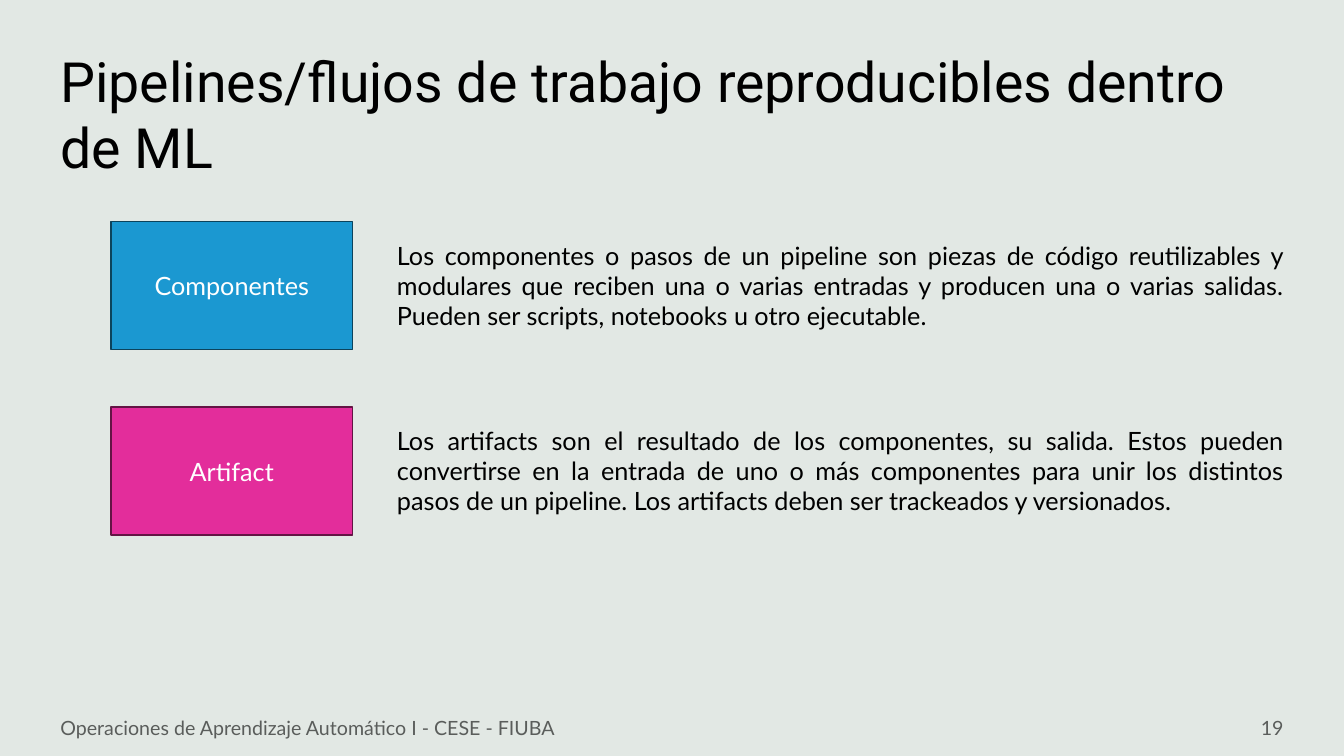
from pptx import Presentation
from pptx.dml.color import RGBColor
from pptx.enum.shapes import MSO_SHAPE
from pptx.enum.text import MSO_ANCHOR, PP_ALIGN
from pptx.util import Inches, Pt

BLACK, WHITE, GREY, BACKGROUND = "000000", "FFFFFF", "5A5D5B", "E2E8E4"
MARGIN = 3.75
FOOTER_TOP, FOOTER_HEIGHT = 93.6, 5.33
FIRST_ROW, ROW_STEP = 29.33, 24.53
CONCEPTS = [
    ("Componentes", "1B98D1", "0C435C",
     "Los componentes o pasos de un pipeline son piezas de código reutilizables y "
     "modulares que reciben una o varias entradas y producen una o varias salidas. "
     "Pueden ser scripts, notebooks u otro ejecutable."),
    ("Artifact", "E32D9B", "631444",
     "Los artifacts son el resultado de los componentes, su salida. Estos pueden "
     "convertirse en la entrada de uno o más componentes para unir los distintos "
     "pasos de un pipeline. Los artifacts deben ser trackeados y versionados."),
]


def color(value):
    return RGBColor.from_string(value)


class Page:
    """Draws styled elements on one slide, placed in percent of its size."""

    def __init__(self, deck):
        self.deck = deck
        self.slide = deck.slides.add_slide(deck.slide_layouts[6])
        background = self.slide.background.fill
        background.solid()
        background.fore_color.rgb = color(BACKGROUND)

    def place(self, left, top, width, height):
        across, down = self.deck.slide_width / 100, self.deck.slide_height / 100
        return (round(left * across), round(top * down),
                round(width * across), round(height * down))

    def set_text(self, shape, text, size, ink, align, font):
        frame = shape.text_frame
        frame.text = text
        frame.word_wrap = True
        frame.vertical_anchor = MSO_ANCHOR.MIDDLE
        para = frame.paragraphs[0]
        para.alignment = align
        span = para.runs[0].font
        span.name, span.size = font, Pt(size)
        span.color.rgb = color(ink)

    def text(self, area, text, size=18, ink=BLACK, align=PP_ALIGN.LEFT, font="Lato"):
        box = self.slide.shapes.add_textbox(*self.place(*area))
        self.set_text(box, text, size, ink, align, font)

    def block(self, area, text, fill, line):
        box = self.slide.shapes.add_shape(MSO_SHAPE.RECTANGLE, *self.place(*area))
        box.shadow.inherit = False
        box.fill.solid()
        box.fill.fore_color.rgb = color(fill)
        box.line.color.rgb = color(line)
        box.line.width = Pt(1)
        self.set_text(box, text, 18, WHITE, PP_ALIGN.CENTER, "Lato")


def main():
    deck = Presentation()
    deck.slide_width, deck.slide_height = Inches(13.33), Inches(7.5)
    page = Page(deck)
    page.text((MARGIN, 5.33, 89.4, 19.33),
              "Pipelines/flujos de trabajo reproducibles dentro de ML",
              size=39.6, font="Roboto")
    for index, (name, fill, line, description) in enumerate(CONCEPTS):
        top = FIRST_ROW + index * ROW_STEP
        page.block((8.25, top, 18, 16.93), name, fill, line)
        page.text((28.8, top + 1.67, 67.45, 13.47), description,
                  align=PP_ALIGN.JUSTIFY)
    page.text((MARGIN, FOOTER_TOP, 48.8, FOOTER_HEIGHT),
              "Operaciones de Aprendizaje Automático I - CESE - FIUBA",
              size=14, ink=GREY)
    page.text((73.75, FOOTER_TOP, 22.5, FOOTER_HEIGHT), "19",
              size=14, ink=GREY, align=PP_ALIGN.RIGHT)
    deck.save("out.pptx")


if __name__ == "__main__":
    main()
